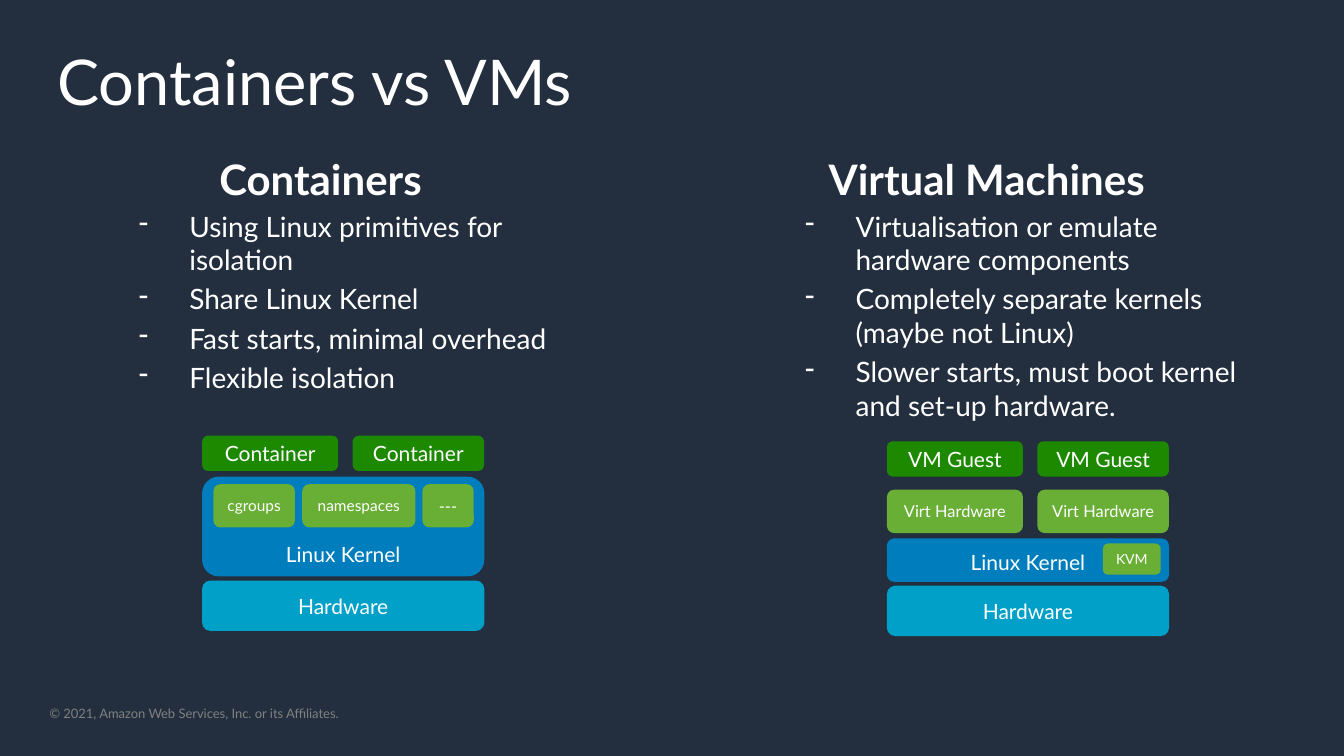
from dataclasses import dataclass

import pptx
import pptx.dml.color
import pptx.enum.shapes
import pptx.enum.text
import pptx.oxml.ns
import pptx.util
from lxml import etree

Pt = pptx.util.Pt
Align = pptx.enum.text.PP_ALIGN
Anchor = pptx.enum.text.MSO_ANCHOR

FONT = "Lato"
WHITE, GREY, NAVY = "FFFFFF", "808080", "232F3E"
CYAN, BLUE, LIME, GREEN = "00A0C8", "007DBC", "69AE35", "1D8900"

STACK_WIDTH = 201.6
CELLS = ((0, 97.2), (107.5, 93.9))  # offset and width of the two upper cells


@dataclass(frozen=True)
class Topic:
    left: float
    heading: str
    points: tuple[str, ...]


@dataclass(frozen=True)
class Block:
    label: str
    color: str
    left: float  # measured from the left edge of the stack
    top: float
    width: float
    height: float
    size: float = 15
    anchor: Anchor = Anchor.MIDDLE


TOPICS = (
    Topic(20.2, "Containers", (
        "Using Linux primitives for isolation",
        "Share Linux Kernel",
        "Fast starts, minimal overhead",
        "Flexible isolation",
    )),
    Topic(496.1, "Virtual Machines", (
        "Virtualisation or emulate hardware components",
        "Completely separate kernels (maybe not Linux)",
        "Slower starts, must boot kernel and set-up hardware.",
    )),
)


def cell_row(label: str, color: str, top: float, height: float,
             size: float = 15) -> list[Block]:
    return [Block(label, color, left, top, width, height, size)
            for left, width in CELLS]


CONTAINER_STACK = [
    Block("Hardware", CYAN, 0, 414.7, STACK_WIDTH, 36),
    Block("Linux Kernel", BLUE, 0, 340.5, STACK_WIDTH, 71.2, anchor=Anchor.BOTTOM),
    Block("cgroups", LIME, 8, 345.8, 58.3, 31, 11),
    Block("namespaces", LIME, 71.5, 345.8, 80.9, 31, 11),
    Block("---", LIME, 157.3, 345.8, 36.7, 31, 11.7),
    *cell_row("Container", GREEN, 311.2, 25.2),
]
VM_STACK = [
    Block("Hardware", CYAN, 0, 418.4, STACK_WIDTH, 36),
    Block("Linux Kernel", BLUE, 0, 384.6, STACK_WIDTH, 31, anchor=Anchor.BOTTOM),
    *cell_row("Virt Hardware", LIME, 349.8, 31, 11.7),
    *cell_row("VM Guest", GREEN, 315.2, 25.2),
    Block("KVM", LIME, 154.3, 388.2, 41.3, 22.3, 10),
]


def rgb(color: str) -> pptx.dml.color.RGBColor:
    return pptx.dml.color.RGBColor.from_string(color)


def add_run(paragraph, text: str, size: float, color: str = WHITE,
            bold: bool = False) -> None:
    run = paragraph.add_run()
    run.text = text
    run.font.name = FONT
    run.font.size = Pt(size)
    run.font.bold = bold
    run.font.color.rgb = rgb(color)


def add_text_frame(slide, left: float, top: float, width: float, height: float,
                   inset_x: float = 7.2, inset_y: float = 3.6):
    box = slide.shapes.add_textbox(Pt(left), Pt(top), Pt(width), Pt(height))
    frame = box.text_frame
    frame.word_wrap = True
    frame.margin_left = frame.margin_right = Pt(inset_x)
    frame.margin_top = frame.margin_bottom = Pt(inset_y)
    return frame


def set_dash_bullet(paragraph) -> None:
    properties = paragraph._p.get_or_add_pPr()
    properties.set("marL", str(Pt(108)))
    properties.set("indent", str(Pt(-36)))
    bullet = etree.SubElement(properties, pptx.oxml.ns.qn("a:buChar"))
    bullet.set("char", "-")


def add_topic(slide, topic: Topic) -> None:
    frame = add_text_frame(slide, topic.left, 105.8, 417.6, 373)
    heading = frame.paragraphs[0]
    heading.alignment = Align.CENTER
    add_run(heading, topic.heading, 30, bold=True)
    for point in topic.points:
        item = frame.add_paragraph()
        item.level = 1
        set_dash_bullet(item)
        item.space_before = Pt(4)
        add_run(item, point, 20)


def add_stack(slide, left: float, blocks: list[Block]) -> None:
    for block in blocks:
        shape = slide.shapes.add_shape(
            pptx.enum.shapes.MSO_SHAPE.ROUNDED_RECTANGLE,
            Pt(left + block.left), Pt(block.top), Pt(block.width), Pt(block.height))
        shape.shadow.inherit = False
        shape.fill.solid()
        shape.fill.fore_color.rgb = rgb(block.color)
        shape.line.fill.background()
        frame = shape.text_frame
        frame.word_wrap = True
        frame.vertical_anchor = block.anchor
        label = frame.paragraphs[0]
        label.alignment = Align.CENTER
        add_run(label, block.label, block.size)


def main() -> None:
    deck = pptx.Presentation()
    deck.slide_width, deck.slide_height = Pt(960), Pt(540)
    slide = deck.slides.add_slide(deck.slide_layouts[6])
    slide.background.fill.solid()
    slide.background.fill.fore_color.rgb = rgb(NAVY)

    # Copyright line and title
    copyright_line = add_text_frame(slide, 35.3, 504, 466.6, 11.5, 0, 0)
    add_run(copyright_line.paragraphs[0],
            "© 2021, Amazon Web Services, Inc. or its Affiliates.", 9.3, GREY)
    title = add_text_frame(slide, 35.3, 12.2, 861.1, 90, 5.8, 2.9)
    title.vertical_anchor = Anchor.MIDDLE
    add_run(title.paragraphs[0], "Containers vs VMs", 45)

    # Comparison lists
    for topic in TOPICS:
        add_topic(slide, topic)

    # Layer diagrams
    add_stack(slide, 144.4, CONTAINER_STACK)
    add_stack(slide, 633.5, VM_STACK)

    deck.save("out.pptx")


if __name__ == "__main__":
    main()
